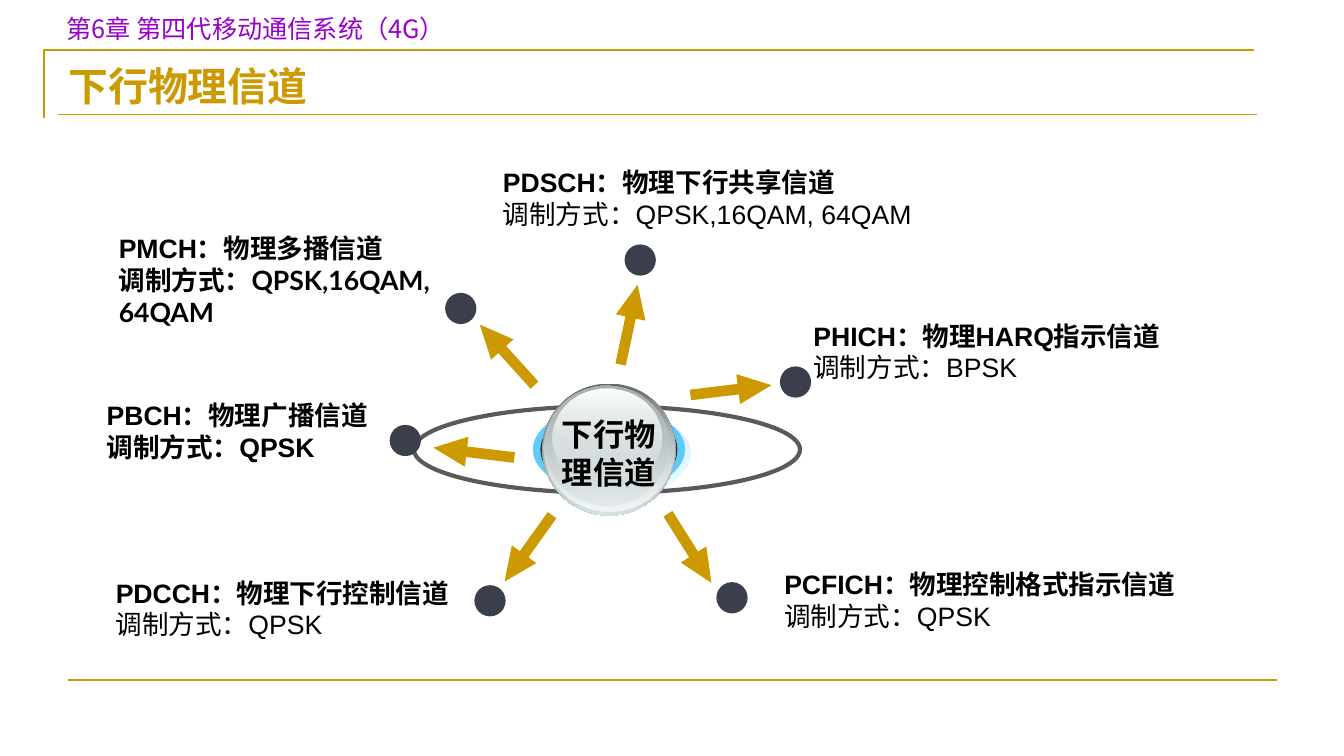
from dataclasses import dataclass

from lxml import etree
from pptx import Presentation
from pptx import util as u
from pptx.dml.color import RGBColor
from pptx.enum import shapes, text
from pptx.oxml.ns import qn


@dataclass(frozen=True)
class Theme:
    gold: str = "CC9900"
    purple: str = "9900CC"
    black: str = "000000"
    dot: str = "3B3E4D"
    ring: str = "5A5A5A"
    glow: str = "5FCBFB"
    shade: str = "333333"
    latin: str = "Arial"
    accent_font: str = "Lato"
    chapter_font: str = "Noto Sans CJK JP"
    title_font: str = "Noto Sans CJK SC"
    title_size: float = 28.5
    hub_size: float = 22.4
    label_size: float = 19
    chapter_size: float = 18


@dataclass(frozen=True)
class Box:
    """Columns and rows of a grid of one-inch cells."""
    x: float
    y: float
    w: float
    h: float

    def inner(self, x, y, w, h):
        return Box(self.x + x, self.y + y, w, h)

    def centred(self, dx, dy, w, h):
        return self.inner(self.w / 2 + dx - w / 2, self.h / 2 + dy - h / 2, w, h)

    def emu(self):
        return [u.Inches(v) for v in (self.x, self.y, self.w, self.h)]


THEME = Theme()
SLIDE = Box(0, 0, 13.33, 7.5)
HEADER = Box(0.44, 0.08, 12.03, 1.1)
DIAGRAM = Box(0.96, 1.6, 10.16, 5.72)
OVAL = shapes.MSO_SHAPE.OVAL
ARROW = shapes.MSO_SHAPE.RIGHT_ARROW

# Name, modulation, second line bold, arrow angle; then arrow centre, dot centre
# and label corner as offsets from the hub, and label width
CHANNELS = [
    ("PBCH：物理广播信道", "QPSK", True, 186.9, (-1.34, 0.03), (-2.02, -0.09), (-5.08, -0.55), 3.33),
    ("PDSCH：物理下行共享信道", "QPSK,16QAM, 64QAM", False, 282, (0.2, -1.24), (0.31, -1.88), (-1.15, -2.86), 5.03),
    ("PCFICH：物理控制格式指示信道", "QPSK", False, 57.8, (0.8, 0.98), (1.22, 1.47), (1.64, 1.13), 4.11),
    ("PDCCH：物理下行控制信道", "QPSK", False, 125.6, (-0.8, 0.98), (-1.18, 1.5), (-4.99, 1.21), 3.6),
    ("PHICH：物理HARQ指示信道", "BPSK", False, 353.1, (1.21, -0.59), (1.85, -0.67), (1.93, -1.34), 4.47),
    ("PMCH：物理多播信道", "QPSK,16QAM, 64QAM", True, 227.9, (-1.01, -0.94), (-1.47, -1.4), (-4.96, -2.21), 4.05),
]

# Offset and size, then gradient stops as colour and opacity
BALL = [
    ((0, 0, 1.32, 1.31), [("636869", 100), ("D6E1E2", 100)]),
    ((0, -0.02, 1.29, 1.27), [("D6E1E2", 0), ("F1F5F5", 100)]),
    ((-0.02, -0.04, 1.22, 1.19), [("AAB2B3", 100), ("D6E1E2", 48)]),
    ((-0.02, -0.12, 1.09, 0.97), [("FFFFFF", 100), ("D6E1E2", 38)]),
]


def rgb(value):
    return RGBColor.from_string(value)


def add_text(para, content, size=THEME.label_size, font=THEME.latin, asian=None,
             color=THEME.black, bold=False):
    span = para.add_run()
    span.text = content
    span.font.size = u.Pt(size)
    span.font.name = font
    span.font.bold = bold
    span.font.color.rgb = rgb(color)
    if asian:
        etree.SubElement(span.font._element, qn("a:ea"), typeface=asian)


def add_frame(page, box, wrap=True):
    frame = page.shapes.add_textbox(*box.emu()).text_frame
    frame.word_wrap = wrap
    return frame


def add_filled(parent, kind, box, color=None, stops=None, angle=270):
    shape = parent.shapes.add_shape(kind, *box.emu())
    shape.shadow.inherit = False
    shape.line.fill.background()
    if stops:
        shape.fill.gradient()
        shape.fill.gradient_angle = angle
        for stop, (tone, opacity) in zip(shape.fill.gradient_stops, stops):
            stop.color.rgb = rgb(tone)
        tones = shape.element.spPr.iter(qn("a:srgbClr"))
        for node, (tone, opacity) in zip(list(tones), stops):
            if opacity < 100:
                etree.SubElement(node, qn("a:alpha"), val=str(opacity * 1000))
    elif color:
        shape.fill.solid()
        shape.fill.fore_color.rgb = rgb(color)
    else:
        shape.fill.background()
    return shape


def add_rule(page, x, y, width, weight):
    rule = page.shapes.add_connector(shapes.MSO_CONNECTOR.STRAIGHT, *[
        u.Inches(v) for v in (x, y, x + width, y)])
    rule.line.color.rgb = rgb(THEME.gold)
    rule.line.width = u.Pt(weight)
    etree.SubElement(rule._element.spPr, qn("a:effectLst"))


def draw_header(page, box):
    # Corner frame
    left, top = u.Inches(box.x), u.Inches(box.y + 0.42)
    builder = page.shapes.build_freeform(left, top + u.Inches(0.67))
    builder.add_line_segments([(left, top), (left + u.Inches(12), top)], close=False)
    corner = builder.convert_to_shape()
    corner.shadow.inherit = False
    corner.fill.background()
    corner.line.color.rgb = rgb(THEME.gold)
    corner.line.width = u.Pt(1.5)
    # Chapter name
    chapter = add_frame(page, box.inner(0.12, 0, 5.78, 0.4))
    add_text(chapter.paragraphs[0], "第6章 第四代移动通信系统（4G）", size=THEME.chapter_size,
             font=THEME.chapter_font, asian=THEME.chapter_font, color=THEME.purple)
    # Title and its underline
    title = page.shapes.title
    title.left, title.top, title.width, title.height = box.inner(0.14, 0.39, 8.8, 0.68).emu()
    frame = title.text_frame
    frame.auto_size = text.MSO_AUTO_SIZE.SHAPE_TO_FIT_TEXT
    frame.vertical_anchor = text.MSO_ANCHOR.TOP
    para = frame.paragraphs[0]
    para.alignment = text.PP_ALIGN.LEFT
    para.line_spacing = 1.2
    add_text(para, "下行物理信道", size=THEME.title_size, font=THEME.title_font,
             asian=THEME.title_font, color=THEME.gold, bold=True)
    add_rule(page, box.x + 0.14, box.y + 1.05, 11.89, 0.25)


def draw_channel(page, box, name, modulation, strong, angle, arrow_at, dot_at, label_at, width):
    arrow = add_filled(page, ARROW, box.centred(*arrow_at, 0.81, 0.3), THEME.gold)
    arrow.adjustments[0], arrow.adjustments[1] = 0.35, 1.11
    arrow.rotation = angle
    add_filled(page, OVAL, box.centred(*dot_at, 0.31, 0.31), THEME.dot)
    # Label: name, then modulation
    x, y = label_at
    frame = add_frame(page, box.inner(box.w / 2 + x, box.h / 2 + y, width, 0.74))
    add_text(frame.paragraphs[0], name, bold=True)
    para = frame.add_paragraph()
    add_text(para, "调制方式：", bold=strong)
    font = THEME.accent_font if name.startswith("PMCH") else THEME.latin
    add_text(para, modulation, font=font, bold=strong)


def draw_hub(page, box):
    # Glow and shade behind the ball
    add_filled(page, OVAL, box.centred(0, 0, 1.51, 0.86), THEME.glow)
    add_filled(page, OVAL, box.centred(0.05, 0.04, 1.51, 0.86),
               stops=[(THEME.glow, 100), (THEME.glow, 0)], angle=315)
    add_filled(page, OVAL, box.centred(0, 0, 1.36, 0.86), THEME.shade)
    # Glass ball
    ball = page.shapes.add_group_shape()
    for place, stops in BALL:
        add_filled(ball, OVAL, box.centred(*place), stops=stops)
    # Caption
    frame = add_frame(page, box.centred(0, 0.04, 1.14, 0.86), wrap=False)
    for para, line in zip((frame.paragraphs[0], frame.add_paragraph()), ("下行物", "理信道")):
        para.alignment = text.PP_ALIGN.CENTER
        add_text(para, line, size=THEME.hub_size, bold=True)


def draw_diagram(page, box):
    orbit = add_filled(page, OVAL, box.centred(-0.02, 0, 3.83, 0.86))
    orbit.line.color.rgb = rgb(THEME.ring)
    orbit.line.width = u.Pt(3)
    for channel in CHANNELS:
        draw_channel(page, box, *channel)
    draw_hub(page, box)


def main():
    deck = Presentation()
    deck.slide_width, deck.slide_height = SLIDE.emu()[2:]
    page = deck.slides.add_slide(deck.slide_layouts[5])
    draw_header(page, HEADER)
    draw_diagram(page, DIAGRAM)
    # Footer rule
    add_rule(page, 0.67, SLIDE.h * 0.9, 12, 1.5)
    deck.save("out.pptx")


if __name__ == "__main__":
    main()
